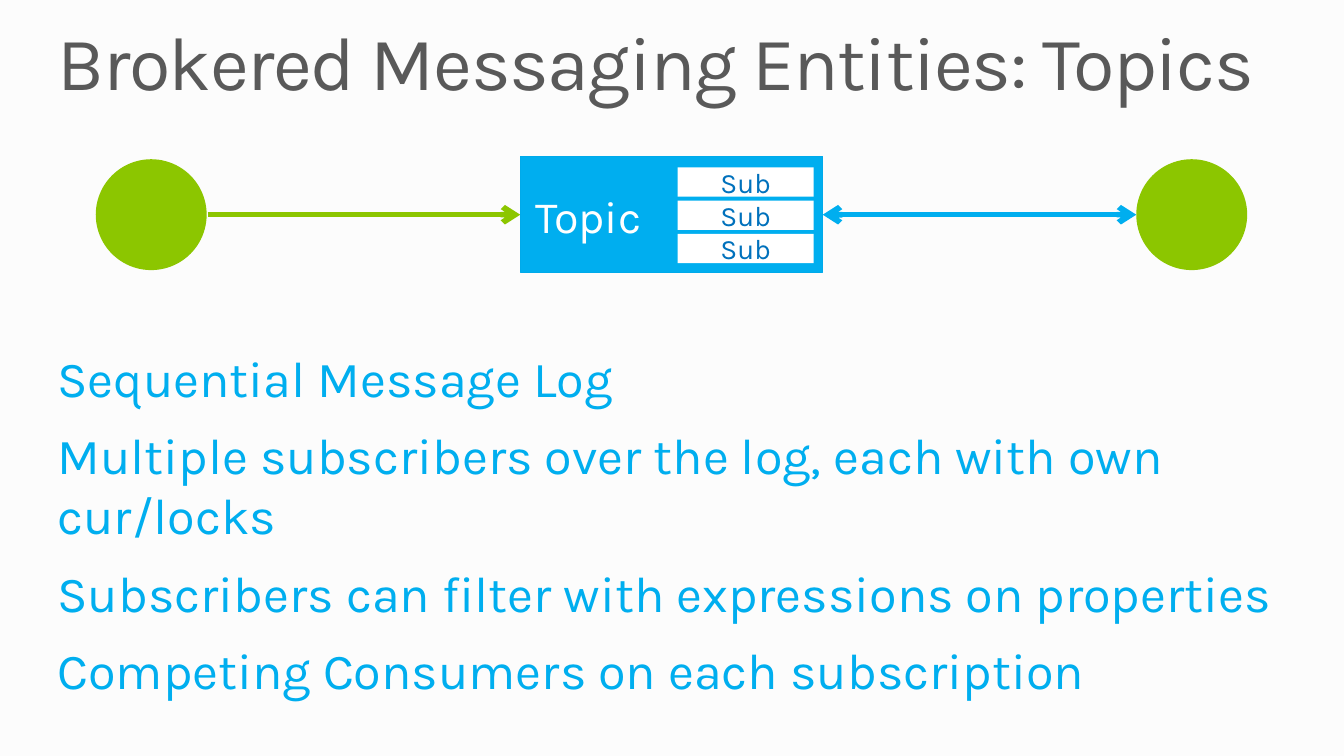
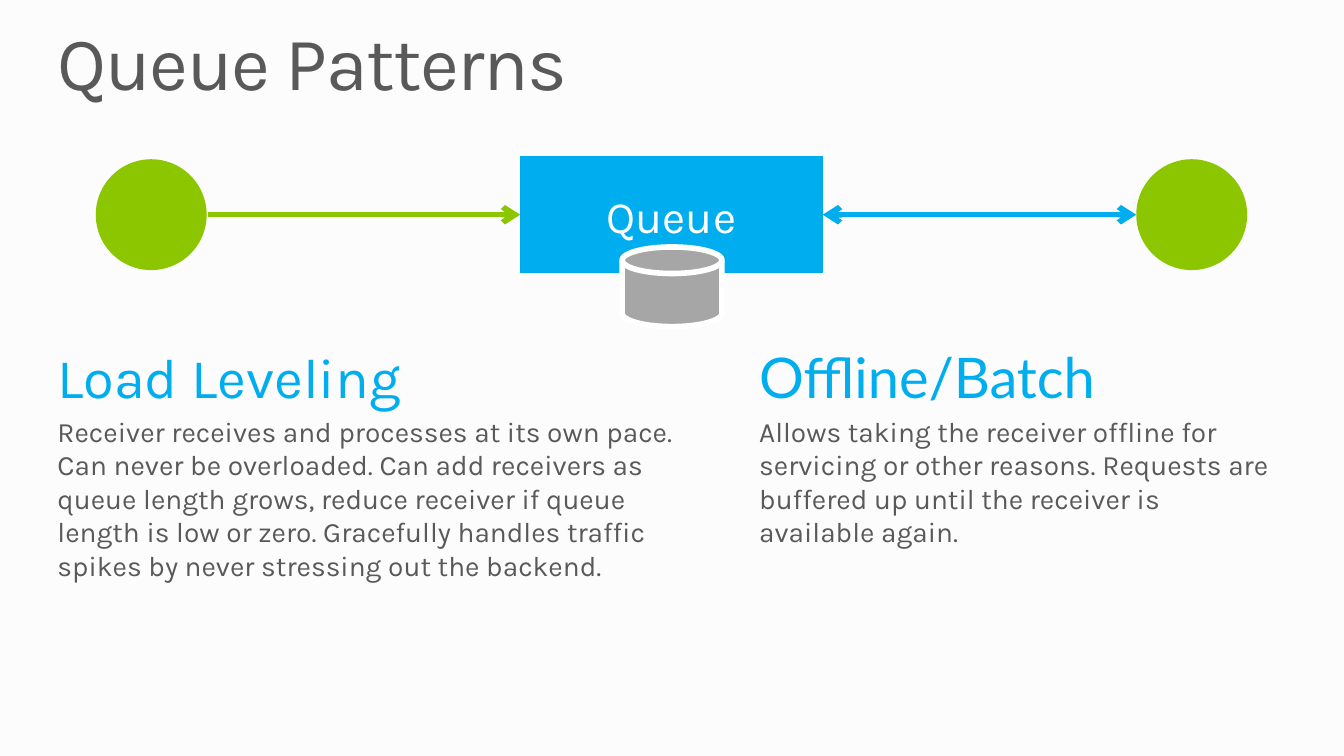
from lxml import etree
from pptx import Presentation
from pptx.dml.color import RGBColor
from pptx.enum.shapes import MSO_CONNECTOR, MSO_SHAPE
from pptx.enum.text import MSO_ANCHOR, PP_ALIGN
from pptx.oxml.ns import qn
from pptx.util import Emu, Pt

# Shared look; 100 px make one inch
PX = 9144
FONT = "Karla"
PAPER, WHITE, GREY, SILVER = "FCFCFC", "FFFFFF", "595959", "A6A6A6"
GREEN, BLUE, EDGE_BLUE, DEEP_BLUE = "8CC600", "00AEEF", "00AAEA", "0071BC"
LEFT = 57
AXIS_Y = 213


def px(*lengths):
    return [Emu(length * PX) for length in lengths]


def color(hex_code):
    return RGBColor.from_string(hex_code)


def set_frame(frame, insets, anchor=MSO_ANCHOR.TOP):
    frame.word_wrap = True
    frame.vertical_anchor = anchor
    (frame.margin_left, frame.margin_top,
     frame.margin_right, frame.margin_bottom) = px(*insets)


def style(paragraph, size, hex_code, font=FONT, align=PP_ALIGN.LEFT):
    paragraph.alignment = align
    for run in paragraph.runs:
        run.font.size = Pt(size)
        run.font.name = font
        run.font.color.rgb = color(hex_code)


def add_text(slide, box, lines, insets, anchor=MSO_ANCHOR.TOP):
    """Each line is (text, style keywords, space before)."""
    frame = slide.shapes.add_textbox(*px(*box)).text_frame
    set_frame(frame, insets, anchor)
    for index, (text, look, space) in enumerate(lines):
        paragraph = frame.add_paragraph() if index else frame.paragraphs[0]
        paragraph.text = text
        if index:
            paragraph.space_before = Pt(space)
        style(paragraph, **look)
    return frame


def add_block(slide, kind, box, fill, edge=None, edge_width=0.75):
    block = slide.shapes.add_shape(kind, *px(*box))
    block.shadow.inherit = False
    block.fill.solid()
    block.fill.fore_color.rgb = color(fill)
    if edge:
        block.line.color.rgb = color(edge)
        block.line.width = Pt(edge_width)
    else:
        block.line.fill.background()
    return block


def add_arrow(slide, start_x, end_x, hex_code, ends):
    arrow = slide.shapes.add_connector(
        MSO_CONNECTOR.STRAIGHT, *px(start_x, AXIS_Y, end_x, AXIS_Y))
    arrow.line.color.rgb = color(hex_code)
    arrow.line.width = Pt(4)
    for end in ends:
        etree.SubElement(arrow.line._get_or_add_ln(), qn(f"a:{end}"), type="arrow")
    etree.SubElement(arrow._element.spPr, qn("a:effectLst"))


def add_slide(prs, title):
    slide = prs.slides.add_slide(prs.slide_layouts[6])
    frame = add_text(slide, (LEFT, 25, 1219, 82),
                     [(title, dict(size=54, hex_code=GREY), 0)], (0, 0, 0, 0))
    heading = frame.paragraphs[0]
    heading.line_spacing = 0.9
    heading.runs[0].font._element.set("spc", "-100")
    return slide


def add_flow(slide, entity, align):
    """Sender, messaging entity and receiver on one axis."""
    for circle_x in (95, 1127):
        add_block(slide, MSO_SHAPE.OVAL, (circle_x, 158, 110, 110), GREEN)
    add_arrow(slide, 206, 516, GREEN, ["tailEnd"])
    add_arrow(slide, 816, 1127, BLUE, ["headEnd", "tailEnd"])
    add_block(slide, MSO_SHAPE.RECTANGLE, (516, 155, 300, 115), BLUE, EDGE_BLUE)
    add_text(slide, (531, 171, 270, 85),
             [(entity, dict(size=32, hex_code=WHITE, align=align), 0)],
             (0, 5, 0, 5), MSO_ANCHOR.MIDDLE)


def add_subscriptions(slide, count):
    for row in range(count):
        subscription = add_block(slide, MSO_SHAPE.RECTANGLE,
                                 (672, 166 + 33 * row, 135, 29), WHITE)
        frame = subscription.text_frame
        set_frame(frame, (10, 5, 10, 5), MSO_ANCHOR.MIDDLE)
        frame.text = "Sub"
        style(frame.paragraphs[0], 20, DEEP_BLUE, align=PP_ALIGN.CENTER)


def add_pattern(slide, left, width, name, description, name_font=FONT):
    add_text(slide, (left, 340, width, 315),
             [(name, dict(size=40, hex_code=BLUE, font=name_font), 0),
              (description, dict(size=20, hex_code=GREY), 3)],
             (0, 0, 10, 5))


def build_topics(prs):
    slide = add_slide(prs, "Brokered Messaging Entities: Topics")
    features = ["Sequential Message Log",
                "Multiple subscribers over the log, each with own cur/locks",
                "Subscribers can filter with expressions on properties",
                "Competing Consumers on each subscription"]
    look = dict(size=36, hex_code=BLUE)
    add_text(slide, (LEFT, 339, 1220, 215),
             [(feature, look, 12) for feature in features], (0, 5, 0, 5))
    add_flow(slide, "Topic", PP_ALIGN.LEFT)
    add_subscriptions(slide, 3)


def build_queue_patterns(prs):
    slide = add_slide(prs, "Queue Patterns")
    add_pattern(slide, LEFT, 647, "Load Leveling",
                "Receiver receives and processes at its own pace. Can never be "
                "overloaded. Can add receivers as queue length grows, reduce "
                "receiver if queue length is low or zero. Gracefully handles "
                "traffic spikes by never stressing out the backend.")
    add_pattern(slide, 753, 524, "Offline/Batch",
                "Allows taking the receiver offline for servicing or other "
                "reasons. Requests are buffered up until the receiver is "
                "available again.", "Lato")
    add_flow(slide, "Queue", PP_ALIGN.CENTER)
    # Message store under the queue
    add_block(slide, MSO_SHAPE.FLOWCHART_MAGNETIC_DISK, (617, 245, 99, 79),
              SILVER, WHITE, 4)


def main():
    prs = Presentation()
    prs.slide_width, prs.slide_height = px(1333, 750)
    paper = prs.slide_master.background.fill
    paper.solid()
    paper.fore_color.rgb = color(PAPER)
    build_topics(prs)
    build_queue_patterns(prs)
    prs.save("out.pptx")


if __name__ == "__main__":
    main()
